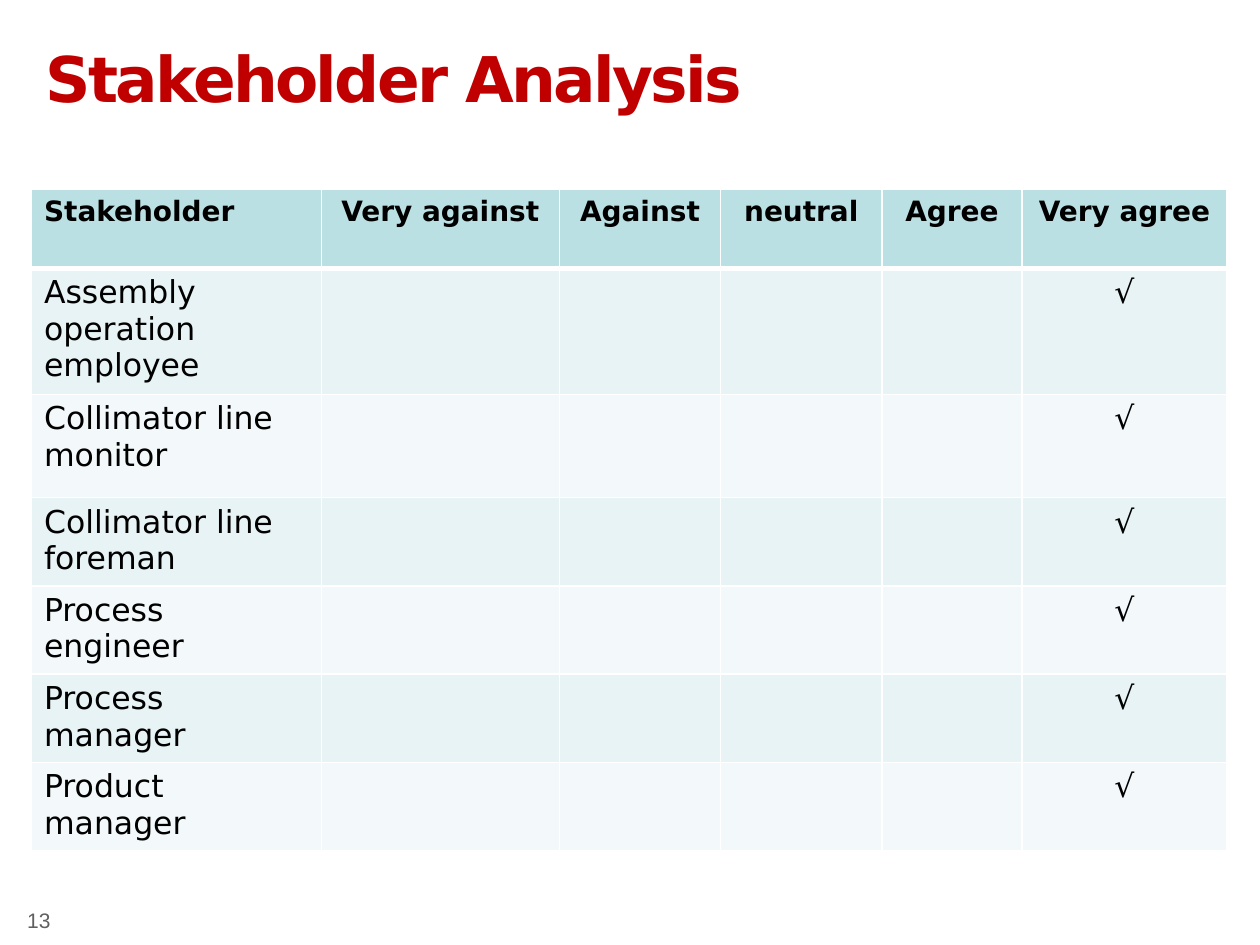
from dataclasses import dataclass
from typing import Optional

from lxml.etree import SubElement
from pptx import Presentation
from pptx.dml.color import RGBColor
from pptx.enum.text import MSO_ANCHOR as Anchor, PP_ALIGN as Align
from pptx.oxml.ns import qn
from pptx.util import Inches, Pt

COLORS = {
    "title": "C00000",
    "text": "000000",
    "number": "606060",
    "header": "BBE0E3",
    "odd": "E7F3F4",
    "even": "F3F9FA",
    "border": "FFFFFF",
}
BODY_FONT = "DejaVu Sans"
WIDTH, HEIGHT = Inches(10), Inches(7.5)
ROW_UNIT = Inches(0.7)


@dataclass
class Column:
    heading: str
    share: float  # of the slide width


@dataclass
class Stakeholder:
    role: str
    stance: str  # heading of the ticked column
    units: float = 1  # row height in row units


COLUMNS = [
    Column("Stakeholder", 0.23),
    Column("Very against", 0.189),
    Column("Against", 0.128),
    Column("neutral", 0.128),
    Column("Agree", 0.111),
    Column("Very agree", 0.163),
]
HEADER_UNITS = 0.9
STAKEHOLDERS = [
    Stakeholder("Assembly operation employee", "Very agree", 1.43),
    Stakeholder("Collimator line monitor", "Very agree", 1.17),
    Stakeholder("Collimator line foreman", "Very agree"),
    Stakeholder("Process engineer", "Very agree"),
    Stakeholder("Process manager", "Very agree"),
    Stakeholder("Product manager", "Very agree"),
]


def style(paragraph, size: float, color: str, name: str = BODY_FONT,
          bold: bool = False, align: Optional[Align] = None) -> None:
    paragraph.alignment = align
    font = paragraph.font
    font.size, font.name, font.bold = Pt(size), name, bold
    font.color.rgb = RGBColor.from_string(COLORS[color])


def set_border(cell, side: str, points: float) -> None:
    line = SubElement(cell._tc.get_or_add_tcPr(), qn(f"a:ln{side}"), w=str(Pt(points)))
    fill = SubElement(line, qn("a:solidFill"))
    SubElement(fill, qn("a:srgbClr"), val=COLORS["border"])


def fill_cell(cell, text: str, row: int, column: int) -> None:
    is_header = row == 0
    cell.text = text
    style(cell.text_frame.paragraphs[0], 16 if is_header else 18, "text",
          bold=is_header, align=Align.CENTER if column else Align.LEFT)
    # Thick rule between the header and the first stakeholder
    for side, thick in (("L", False), ("R", False), ("T", row == 1), ("B", is_header)):
        set_border(cell, side, 3 if thick else 1)
    band = "header" if is_header else "odd" if row % 2 else "even"
    cell.fill.solid()
    cell.fill.fore_color.rgb = RGBColor.from_string(COLORS[band])


def add_title(slide, text: str) -> None:
    title = slide.shapes.title
    title.left, title.top = int(WIDTH * 0.026), int(HEIGHT * 0.035)
    title.width, title.height = int(WIDTH * 0.949), int(HEIGHT * 0.11)
    frame = title.text_frame
    frame.text = text
    frame.vertical_anchor = Anchor.TOP
    frame.margin_top = Inches(0.08)
    paragraph = frame.paragraphs[0]
    style(paragraph, 36, "title", bold=True, align=Align.LEFT)
    paragraph.line_spacing = Pt(41)
    paragraph.runs[0].font._element.set("spc", "-150")


def add_stakeholder_table(slide) -> None:
    units = [HEADER_UNITS] + [person.units for person in STAKEHOLDERS]
    heights = [int(ROW_UNIT * unit) for unit in units]
    widths = [int(WIDTH * column.share) for column in COLUMNS]
    table = slide.shapes.add_table(
        len(heights), len(widths), int(WIDTH * 0.025), int(HEIGHT * 0.2),
        sum(widths), sum(heights)).table
    for column, width in zip(table.columns, widths):
        column.width = width
    for row, height in zip(table.rows, heights):
        row.height = height

    headings = [column.heading for column in COLUMNS]
    lines = [headings] + [
        [person.role] + ["√" if heading == person.stance else "" for heading in headings[1:]]
        for person in STAKEHOLDERS
    ]
    for r, line in enumerate(lines):
        for c, text in enumerate(line):
            fill_cell(table.cell(r, c), text, r, c)


def add_slide_number(slide, number: str) -> None:
    box = slide.shapes.add_textbox(0, int(HEIGHT * 0.947), int(WIDTH * 0.05), int(HEIGHT * 0.053))
    frame = box.text_frame
    frame.word_wrap = True
    frame.vertical_anchor = Anchor.MIDDLE
    frame.margin_top = frame.margin_bottom = Inches(0.04)
    frame.text = number
    style(frame.paragraphs[0], 12, "number", name="Arial", align=Align.RIGHT)


def main() -> None:
    deck = Presentation()
    deck.slide_width, deck.slide_height = WIDTH, HEIGHT
    slide = deck.slides.add_slide(deck.slide_layouts[5])  # title only
    add_title(slide, "Stakeholder Analysis")
    add_slide_number(slide, "13")
    add_stakeholder_table(slide)
    deck.save("out.pptx")


if __name__ == "__main__":
    main()
